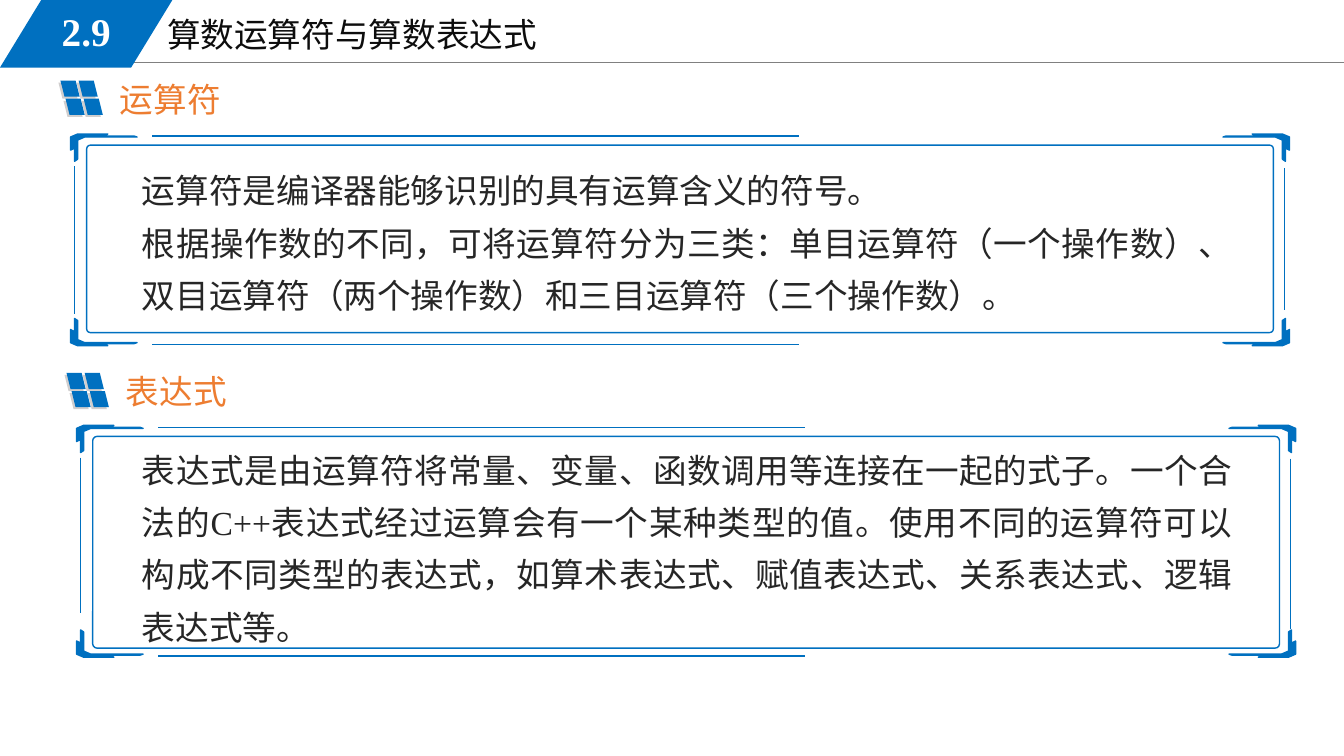
from lxml import etree
from pptx import Presentation
from pptx import util as u
from pptx.dml.color import RGBColor
from pptx.enum import shapes as sh, text as tx
from pptx.oxml.ns import qn


class Theme:
    font = "Times New Roman"
    blue, gray, rule = "0070C0", "D0CECE", "808080"
    head, title, body, white = "ED7D31", "0D0D0D", "262626", "FFFFFF"
    size, large = 24, 28


number = "2.9"
title = "算数运算符与算数表达式"
parts = [
    dict(head="运算符", icon=(0.6, 0.8), left=0.7, top=1.33, end=3.43,
         inner=1.86, sides=((0.32, 0.31), (0.34, 0.35)), text=(1.52, 1.62),
         lines=["运算符是编译器能够识别的具有运算含义的符号。",
                "根据操作数的不同，可将运算符分为三类：单目运算符（一个操作数）、"
                "双目运算符（两个操作数）和三目运算符（三个操作数）。"]),
    dict(head="表达式", icon=(0.66, 3.7), left=0.76, top=4.22, end=6.52,
         inner=2.1, sides=((0.32, 0.44), (0.33, 0.28)), text=(4.29, 2.15),
         lines=["表达式是由运算符将常量、变量、函数调用等连接在一起的式子。"
                "一个合法的C++表达式经过运算会有一个某种类型的值。"
                "使用不同的运算符可以构成不同类型的表达式，"
                "如算术表达式、赋值表达式、关系表达式、逻辑表达式等。"]),
]
wide = 12.09
corner = [(0.07, 0), (0.37, 0), (0.33, 0.02), (0.63, 0.02), (0.66, 0.03),
          (0.14, 0.03), (0.07, 0.06), (0.07, 0.25), (0.04, 0.27),
          (0.04, 0.14), (0, 0.16), (0, 0.03)]

deck = Presentation()
deck.slide_width, deck.slide_height = u.Inches(13.33), u.Inches(7.5)
slide = deck.slides.add_slide(deck.slide_layouts[6])
draw = slide.shapes


def rgb(color):
    return RGBColor.from_string(color)


def paint(shape, fill=None, edge=None):
    shape.shadow.inherit = False
    if fill:
        shape.fill.solid()
        shape.fill.fore_color.rgb = rgb(fill)
    else:
        shape.fill.background()
    if edge:
        shape.line.color.rgb = rgb(edge)
        shape.line.width = u.Pt(1)
    else:
        shape.line.fill.background()


def block(kind, box, adj=None, fill=None, edge=None, flip=False):
    shape = draw.add_shape(kind, *map(u.Inches, box))
    if adj is not None:
        shape.adjustments[0] = adj
    if flip:
        shape._element.spPr.xfrm.set("flipH", "1")
    paint(shape, fill, edge)


def rule(x1, y1, x2, y2, color=Theme.blue, width=1):
    line = draw.add_connector(sh.MSO_CONNECTOR.STRAIGHT,
                              *map(u.Inches, (x1, y1, x2, y2)))
    line.line.color.rgb = rgb(color)
    line.line.width = u.Pt(width)
    etree.SubElement(line._element.spPr, qn("a:effectLst"))


def write(box, lines, color, size=Theme.size, bold=False, align=None,
          space=None, anchor=tx.MSO_ANCHOR.TOP):
    frame = draw.add_textbox(*map(u.Inches, box)).text_frame
    frame.word_wrap = True
    frame.auto_size = tx.MSO_AUTO_SIZE.SHAPE_TO_FIT_TEXT
    frame.vertical_anchor = anchor
    frame.text = "\n".join(lines)
    for para in frame.paragraphs:
        para.alignment, para.line_spacing = align, space
        font = para.font
        font.name, font.size, font.bold = Theme.font, u.Pt(size), bold
        font.color.rgb = rgb(color)


def icon(x, y):
    for shift, color in ((0.02, Theme.gray), (0, Theme.blue)):
        for col in range(2):
            for row in range(2):
                block(sh.MSO_SHAPE.PARALLELOGRAM,
                      (x - shift + col * 0.18 + row * 0.05,
                       y + shift + row * 0.18, 0.19, 0.16),
                      fill=color, flip=True)


def bracket(x, y, dx, dy):
    pts = [(u.Inches(x + dx * a), u.Inches(y + dy * b)) for a, b in corner]
    form = draw.build_freeform(*pts[0], scale=1.0)
    form.add_line_segments(pts[1:], close=True)
    paint(form.convert_to_shape(), Theme.blue, Theme.blue)


def border(left, top, end, inner, sides):
    right = left + wide
    block(sh.MSO_SHAPE.ROUNDED_RECTANGLE,
          (left + 0.16, top + 0.11, 11.77, inner), 0.02, edge=Theme.blue)
    for x, dx in ((left, 1), (right, -1)):
        for y, dy in ((top, 1), (end, -1)):
            bracket(x, y, dx, dy)
    for y in (top + 0.02, end - 0.01):
        rule(left + 0.81, y, left + 7.22, y)
    for x, (up, down) in zip((left + 0.04, right - 0.05), sides):
        rule(x, top + up, x, end - down)


rule(1.13, 0.62, 13.33, 0.62, Theme.rule, 0.75)
write((1.56, 0.09, 5.67, 0.51), [title], Theme.title)
block(sh.MSO_SHAPE.PARALLELOGRAM, (0, 0, 1.71, 0.67), 0.61, Theme.blue)
write((0.25, 0.02, 1.21, 0.58), [number], Theme.white, Theme.large, True,
      tx.PP_ALIGN.CENTER, anchor=tx.MSO_ANCHOR.MIDDLE)

for part in parts:
    x, y = part["icon"]
    icon(x, y)
    write((x + 0.49, y - 0.07, 5.99, 0.5), [part["head"]], Theme.head)
    top, high = part["text"]
    write((1.31, top, 11.01, high), part["lines"], Theme.body,
          align=tx.PP_ALIGN.JUSTIFY, space=1.3)
    border(part["left"], part["top"], part["end"], part["inner"],
           part["sides"])

deck.save("out.pptx")
